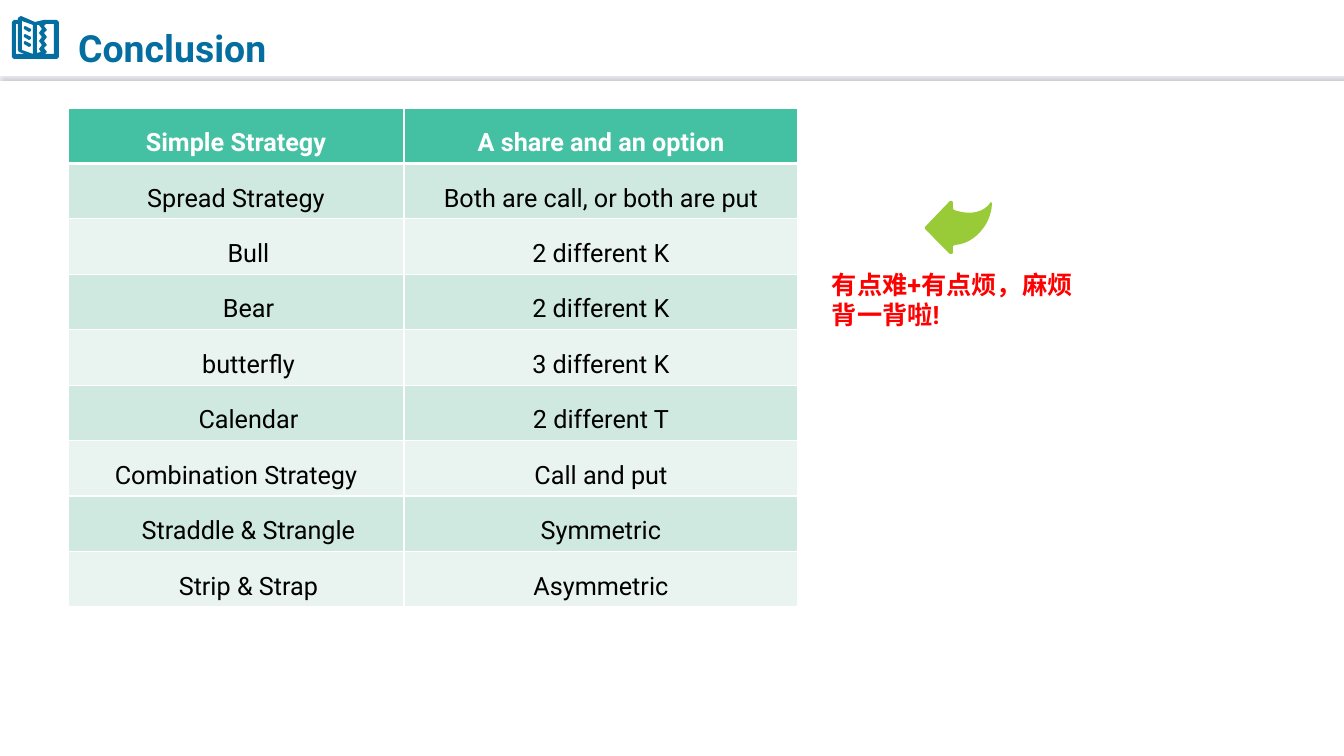
from lxml.etree import SubElement
from pptx import Presentation
from pptx.dml.color import RGBColor
from pptx.enum.shapes import MSO_CONNECTOR
from pptx.enum.text import MSO_ANCHOR, MSO_AUTO_SIZE, PP_ALIGN
from pptx.oxml import parse_xml
from pptx.oxml.ns import nsdecls, qn
from pptx.util import Pt

EMU_PER_PX = 914400 / 100.8
SLIDE_WIDTH, SLIDE_HEIGHT = 1344, 756
FONT = "Roboto"
BLUE, GREEN, RED = "056EA0", "99CB38", "FF0000"
WHITE, BLACK = "FFFFFF", "000000"
HEADER_FILL, BAND_FILLS = "44C1A3", ("CFE9E0", "E9F4F0")
SUB_ITEM_INDENT = 25

# Each row: strategy, description, whether it is a sub-item
STRATEGIES = [
    ("Simple Strategy", "A share and an option", False),
    ("Spread Strategy", "Both are call, or both are put", False),
    ("Bull", "2 different K", True),
    ("Bear", "2 different K", True),
    ("butterfly", "3 different K", True),
    ("Calendar", "2 different T", True),
    ("Combination Strategy", "Call and put", False),
    ("Straddle & Strangle", "Symmetric", True),
    ("Strip & Strap", "Asymmetric", True),
]

BOOK_PARTS = [
    # cover
    [(9, 0), (23, 6), (32, 4), (45, 4), (47, 6), (47, 41), (45, 43),
     (2, 43), (0, 41), (0, 6), (2, 4), (6, 4), (6, 2)],
    # back page, front page
    [(4, 8), (4, 38), (13, 38), (7, 36), (6, 34), (6, 8)],
    [(10, 5), (10, 34), (21, 38), (21, 9)],
    # pages on both sides of the zigzag
    [(25, 9), (27, 9), (30, 13), (27, 17), (30, 21), (27, 25), (30, 29),
     (27, 33), (29, 36), (25, 37)],
    [(34, 8), (32, 10), (35, 14), (32, 17), (35, 21), (32, 25), (35, 29),
     (32, 32), (35, 36), (33, 38), (42, 38), (42, 8)],
]
TEXT_MARK = [(13, 10), (19, 13), (19, 15), (17, 16), (12, 13), (12, 11)]
TEXT_MARK_OFFSETS = (0, 8, 15)


def px(length):
    return round(length * EMU_PER_PX)


def color(hex_string):
    return RGBColor.from_string(hex_string)


def format_paragraph(paragraph, size, hex_color, bold):
    for run in paragraph.runs:
        run.font.name = FONT
        run.font.size = Pt(size)
        run.font.bold = bold
        run.font.color.rgb = color(hex_color)


def bezier(start, control_1, control_2, end, steps=12):
    """Return the points of a cubic curve, both ends included."""
    points = []
    for step in range(steps + 1):
        t = step / steps
        weights = ((1 - t) ** 3, 3 * t * (1 - t) ** 2, 3 * t * t * (1 - t), t ** 3)
        points.append(tuple(
            sum(weight * value for weight, value in zip(weights, values))
            for values in zip(start, control_1, control_2, end)))
    return points


def add_outline(slide, left, top, contours, hex_color):
    """Draw closed contours, given in px from the box corner, as one shape."""
    detail = 10
    scaled = [[(x * detail, y * detail) for x, y in contour] for contour in contours]
    builder = slide.shapes.build_freeform(*scaled[0][0], scale=EMU_PER_PX / detail)
    for index, contour in enumerate(scaled):
        if index:
            builder.move_to(*contour[0])
        builder.add_line_segments(contour[1:], close=True)
    shape = builder.convert_to_shape(px(left), px(top))
    shape.shadow.inherit = False
    shape.fill.solid()
    shape.fill.fore_color.rgb = color(hex_color)
    shape.line.fill.background()


def add_header_line(slide, top):
    line = slide.shapes.add_connector(
        MSO_CONNECTOR.STRAIGHT, 0, px(top), px(SLIDE_WIDTH), px(top))
    line.line.color.rgb = color(WHITE)
    line.line.width = Pt(0.75)
    line._element.spPr.append(parse_xml(
        f'<a:effectLst {nsdecls("a")}>'
        f'<a:outerShdw blurRad="{Pt(1)}" dist="{Pt(3)}" dir="5400000" algn="t" rotWithShape="0">'
        '<a:srgbClr val="BCB4C4"/></a:outerShdw></a:effectLst>'))


def add_book_icon(slide, left, top):
    marks = [[(x, y + offset) for x, y in TEXT_MARK] for offset in TEXT_MARK_OFFSETS]
    add_outline(slide, left, top, BOOK_PARTS + marks, BLUE)


def place_title(slide, left, top, width, height):
    title = slide.shapes.title
    title.left, title.top, title.width, title.height = map(px, (left, top, width, height))
    frame = title.text_frame
    frame.text = "Conclusion"
    frame.auto_size = MSO_AUTO_SIZE.NONE
    frame.vertical_anchor = MSO_ANCHOR.MIDDLE
    paragraph = frame.paragraphs[0]
    paragraph.alignment = PP_ALIGN.LEFT
    paragraph.line_spacing = 1.4
    format_paragraph(paragraph, 26.7, BLUE, True)


def add_cell_borders(cell, top_width, bottom_width):
    properties = cell._tc.get_or_add_tcPr()
    for side, width in (("L", 1), ("R", 1), ("T", top_width), ("B", bottom_width)):
        border = SubElement(properties, qn(f"a:ln{side}"), w=str(Pt(width)))
        fill = SubElement(border, qn("a:solidFill"))
        SubElement(fill, qn("a:srgbClr"), val=WHITE)


def add_strategy_table(slide, left, top, column_widths, height):
    row_count = len(STRATEGIES)
    table = slide.shapes.add_table(
        row_count, len(column_widths), px(left), px(top),
        px(sum(column_widths)), px(height)).table
    for column, width in zip(table.columns, column_widths):
        column.width = px(width)
    for index, (strategy, description, is_sub_item) in enumerate(STRATEGIES):
        table.rows[index].height = px(height / row_count)
        is_header = index == 0
        fill = HEADER_FILL if is_header else BAND_FILLS[(index - 1) % 2]
        for column_index, text in enumerate((strategy, description)):
            cell = table.cell(index, column_index)
            cell.text = text
            add_cell_borders(cell, 3 if index == 1 else 1, 3 if is_header else 1)
            cell.fill.solid()
            cell.fill.fore_color.rgb = color(fill)
            cell.vertical_anchor = MSO_ANCHOR.MIDDLE
            indent = SUB_ITEM_INDENT if is_sub_item and column_index == 0 else 0
            cell.margin_left, cell.margin_right = px(10 + indent), px(10)
            cell.margin_top = cell.margin_bottom = px(5)
            paragraph = cell.text_frame.paragraphs[0]
            paragraph.alignment = PP_ALIGN.CENTER
            paragraph.line_spacing = 1.5
            format_paragraph(paragraph, 18, WHITE if is_header else BLACK, is_header)


def add_curved_arrow(slide, left, top):
    lower_edge = bezier((30, 44), (50, 43), (67, 22), (67, 2))
    upper_edge = bezier((66, 1), (55, 17), (35, 11), (29, 9))
    outline = [(0, 26), (0, 28), (25, 53), (27, 53), (28, 52), (28, 45),
               *lower_edge, *upper_edge, (28, 8), (28, 1), (27, 0), (25, 0)]
    add_outline(slide, left, top, [outline], GREEN)


def add_remark(slide, left, top, width, height):
    box = slide.shapes.add_textbox(*map(px, (left, top, width, height)))
    frame = box.text_frame
    frame.word_wrap = True
    frame.auto_size = MSO_AUTO_SIZE.SHAPE_TO_FIT_TEXT
    frame.text = "有点难+有点烦，麻烦背一背啦!"
    format_paragraph(frame.paragraphs[0], 18, RED, True)


def build_conclusion_slide(presentation):
    slide = presentation.slides.add_slide(presentation.slide_layouts[5])
    add_header_line(slide, 74)
    add_book_icon(slide, 12, 16)
    place_title(slide, 68, 7, 742, 64)
    add_strategy_table(slide, 68, 108, (336, 394), 499)
    add_curved_arrow(slide, 925, 201)
    add_remark(slide, 822, 264, 274, 72)


def main():
    presentation = Presentation()
    presentation.slide_width = px(SLIDE_WIDTH)
    presentation.slide_height = px(SLIDE_HEIGHT)
    build_conclusion_slide(presentation)
    presentation.save("out.pptx")


if __name__ == "__main__":
    main()
